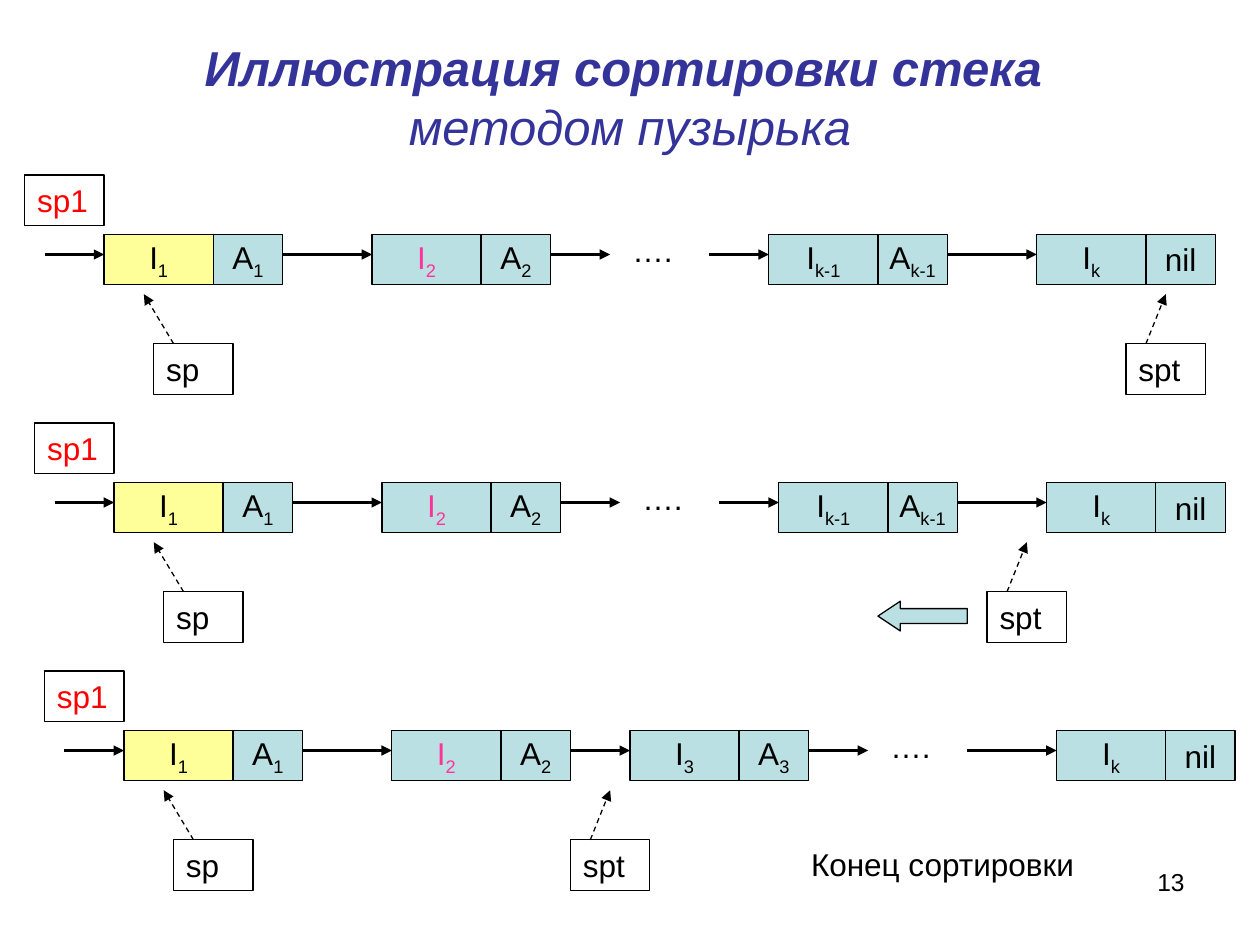
from lxml import etree
from pptx import Presentation
from pptx.dml.color import RGBColor
from pptx.enum.dml import MSO_LINE
from pptx.enum.shapes import MSO_CONNECTOR, MSO_SHAPE
from pptx.enum.text import MSO_ANCHOR, MSO_AUTO_SIZE, PP_ALIGN
from pptx.oxml.ns import qn
from pptx.util import Cm, Pt

RECTANGLE, LEFT_ARROW = MSO_SHAPE.RECTANGLE, MSO_SHAPE.LEFT_ARROW
STRAIGHT, DASH = MSO_CONNECTOR.STRAIGHT, MSO_LINE.DASH
LEFT, CENTER, RIGHT = PP_ALIGN.LEFT, PP_ALIGN.CENTER, PP_ALIGN.RIGHT
TOP, MIDDLE = MSO_ANCHOR.TOP, MSO_ANCHOR.MIDDLE

BLACK = RGBColor(0x00, 0x00, 0x00)
NAVY = RGBColor(0x33, 0x33, 0x99)
RED = RGBColor(0xFF, 0x00, 0x00)
PINK = RGBColor(0xFF, 0x33, 0x99)
YELLOW = RGBColor(0xFF, 0xFF, 0x99)
TEAL = RGBColor(0xBB, 0xE0, 0xE3)
FONT = "Arial"

# Content: node = (offset, index, address text, fill, item colour), lengths in cm
TITLE_BOLD, TITLE_PLAIN = "Иллюстрация сортировки стека ", "методом пузырька"
FIRST = (0, "1", "A", YELLOW, BLACK)
SECOND = (5.4, "2", "A", TEAL, PINK)
THIRD = (10.2, "3", "A", TEAL, BLACK)
BEFORE_LAST = (13.4, "k-1", "A", TEAL, BLACK)
LAST = (18.8, "k", "nil", TEAL, BLACK)
FULL_LINKS = [(-1.2, 0), (3.6, 5.4), (9, 10.2), (12.2, 13.4), (17, 18.8)]
SHORT_LINKS = [(-1.2, 0), (3.6, 5.4), (9, 10.2), (13.8, 15), (17, 18.8)]
FULL_NODES = [FIRST, SECOND, BEFORE_LAST, LAST]
STACKS = [
    {"nodes": FULL_NODES, "links": FULL_LINKS, "dots": 10.4, "spt": 20.6},
    {"nodes": FULL_NODES, "links": FULL_LINKS, "dots": 10.4, "spt": 17.6},
    {"nodes": [FIRST, SECOND, THIRD, LAST], "links": SHORT_LINKS,
     "dots": 15.2, "spt": 9},
]

# Geometry in cm
STACK_LEFT, STACK_TOP = 2.1, 4.73
STEP_X, STEP_Y = 0.2, 5
ITEM_WIDTH, ADDRESS_WIDTH, CELL_HEIGHT = 2.2, 1.4, 1
LABEL_WIDTH, LABEL_HEIGHT = 1.6, 1.02

presentation = Presentation()
presentation.slide_width, presentation.slide_height = Cm(25.4), Cm(19.05)
slide = presentation.slides.add_slide(presentation.slide_layouts[5])


def add_run(paragraph, text, color=BLACK, size=18, subscript=False):
    run = paragraph.add_run()
    run.text = text
    run.font.name, run.font.size = FONT, Pt(size)
    run.font.color.rgb = color
    if subscript:
        run.font._element.set("baseline", "-25000")
    return run


def add_outlined(kind, left, top, width, height, fill=None):
    shape = slide.shapes.add_shape(kind, Cm(left), Cm(top), Cm(width), Cm(height))
    shape.shadow.inherit = False
    if fill is None:
        shape.fill.background()
    else:
        shape.fill.solid()
        shape.fill.fore_color.rgb = fill
    shape.line.color.rgb, shape.line.width = BLACK, Pt(0.75)
    return shape


def add_cell(left, top, width, fill, text, index="", color=BLACK):
    cell = add_outlined(RECTANGLE, left, top, width, CELL_HEIGHT, fill)
    cell.text_frame.word_wrap = False
    cell.text_frame.vertical_anchor = MIDDLE
    paragraph = cell.text_frame.paragraphs[0]
    paragraph.alignment = CENTER
    add_run(paragraph, text, color)
    if index:
        add_run(paragraph, index, color, subscript=True)


def add_label(left, top, text, color=BLACK):
    label = add_outlined(RECTANGLE, left, top, LABEL_WIDTH, LABEL_HEIGHT)
    label.text_frame.vertical_anchor = TOP
    paragraph = label.text_frame.paragraphs[0]
    paragraph.alignment = LEFT
    add_run(paragraph, text, color)


def add_text(left, top, width, height, text, size=18, alignment=LEFT):
    box = slide.shapes.add_textbox(Cm(left), Cm(top), Cm(width), Cm(height))
    box.text_frame.word_wrap = True
    paragraph = box.text_frame.paragraphs[0]
    paragraph.alignment = alignment
    add_run(paragraph, text, size=size)


def add_arrow(x1, y1, x2, y2, width=1.5, dash=None):
    arrow = slide.shapes.add_connector(STRAIGHT, Cm(x1), Cm(y1), Cm(x2), Cm(y2))
    arrow.line.color.rgb, arrow.line.width = BLACK, Pt(width)
    if dash is not None:
        arrow.line.dash_style = dash
    properties = arrow._element.spPr
    line = properties.find(qn("a:ln"))
    etree.SubElement(line, qn("a:tailEnd"), type="triangle")
    etree.SubElement(properties, qn("a:effectLst"))


def add_stack(left, top, stack):
    for offset, index, address, fill, color in stack["nodes"]:
        x = left + offset
        add_cell(x, top, ITEM_WIDTH, fill, "I", index, color)
        address_index = "" if address == "nil" else index
        add_cell(x + ITEM_WIDTH, top, ADDRESS_WIDTH, TEAL, address, address_index)
    for start, end in stack["links"]:
        add_arrow(left + start, top + 0.4, left + end, top + 0.4)
    add_text(left + stack["dots"], top - 0.2, 1.8, LABEL_HEIGHT, "….")
    # Pointers: stack head, current element, end of the unsorted part
    add_label(left - 1.6, top - 1.2, "sp1", RED)
    for text, offset, start, end in [("sp", 1, 0.4, -0.2),
                                     ("spt", stack["spt"], 0.4, 0.8)]:
        x = left + offset
        add_label(x, top + 2.2, text)
        add_arrow(x + start, top + 2.2, x + end, top + 1.2, 0.75, DASH)


# Title
title = slide.shapes.title
title.left, title.top, title.width, title.height = Cm(1.27), Cm(0.76), Cm(22.86), Cm(2.36)
title.text_frame.auto_size = MSO_AUTO_SIZE.NONE
title.text_frame.vertical_anchor = MIDDLE
heading = title.text_frame.paragraphs[0]
heading.alignment = CENTER
bold_run = add_run(heading, TITLE_BOLD, NAVY, 28)
heading.add_line_break()
plain_run = add_run(heading, TITLE_PLAIN, NAVY, 28)
bold_run.font.bold, plain_run.font.bold = True, False
bold_run.font.italic = plain_run.font.italic = True

# Three states of the stack
for row, stack in enumerate(STACKS):
    add_stack(STACK_LEFT + row * STEP_X, STACK_TOP + row * STEP_Y, stack)

# Direction in which spt moves
direction = add_outlined(LEFT_ARROW, 17.7, 12.12, 1.8, 0.6, TEAL)
direction.adjustments[0], direction.adjustments[1] = 0.5, 0.75

# Closing note and slide number
add_text(16.1, 16.92, 6, LABEL_HEIGHT, "Конец сортировки")
add_text(18.2, 17.35, 5.93, 1.32, "13", 14, RIGHT)

presentation.save("out.pptx")
